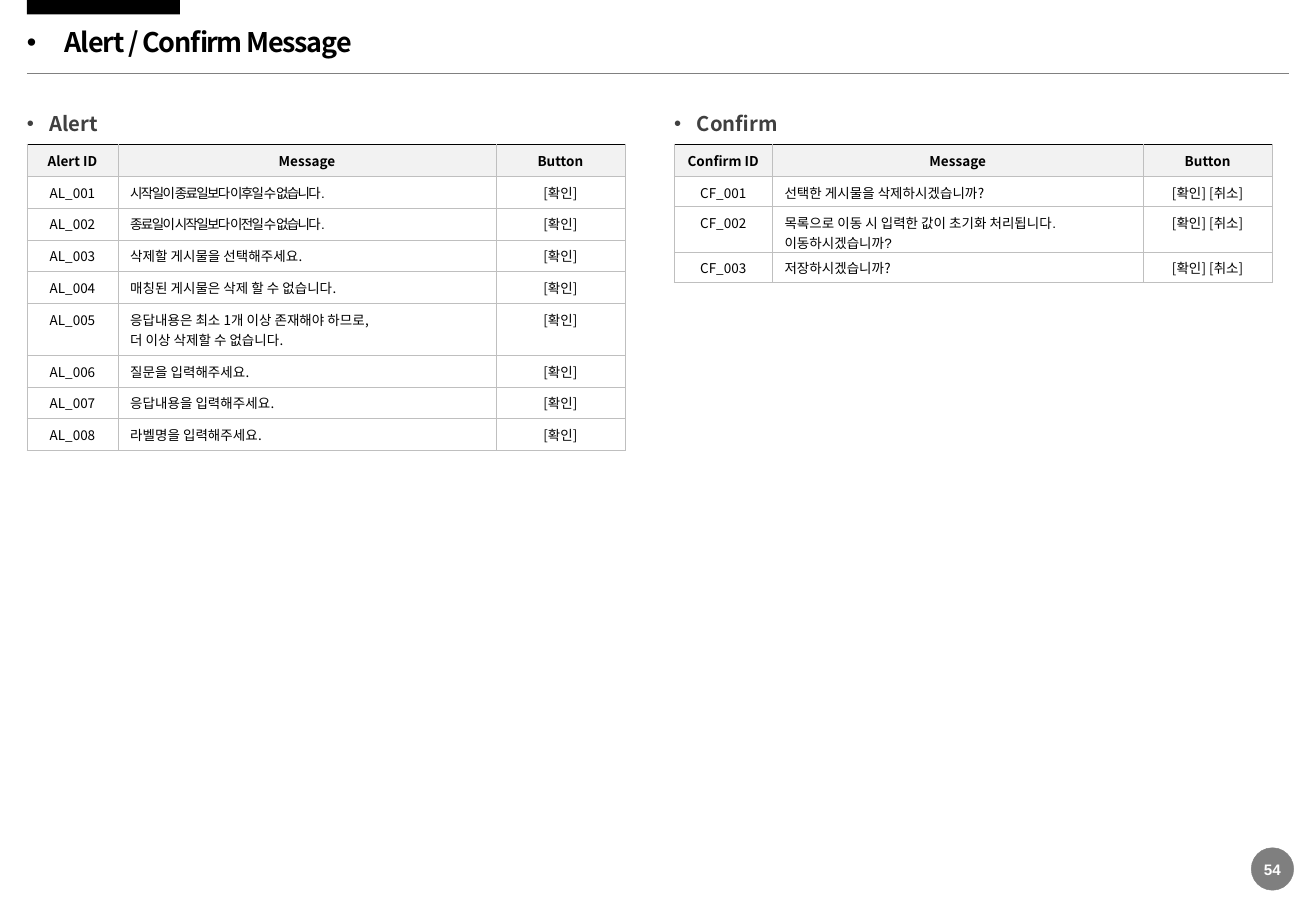
from dataclasses import dataclass

from lxml import etree
from pptx import Presentation
from pptx.dml.color import RGBColor
from pptx.enum.shapes import MSO_CONNECTOR, MSO_SHAPE
from pptx.enum.text import MSO_ANCHOR, MSO_AUTO_SIZE, PP_ALIGN
from pptx.oxml.ns import qn
from pptx.util import Pt

LEFT, CENTER = PP_ALIGN.LEFT, PP_ALIGN.CENTER
TOP, MIDDLE = MSO_ANCHOR.TOP, MSO_ANCHOR.MIDDLE
NO_AUTOFIT = MSO_AUTO_SIZE.NONE
RECTANGLE, OVAL = MSO_SHAPE.RECTANGLE, MSO_SHAPE.OVAL
STRAIGHT = MSO_CONNECTOR.STRAIGHT
TITLE_ONLY = 5


@dataclass(frozen=True)
class Theme:
    """Colours, fonts and type sizes of the page."""
    ink: str = "000000"
    heading: str = "404040"
    rule: str = "808080"
    grid: str = "BFBFBF"
    header: str = "F2F2F2"
    paper: str = "FFFFFF"
    font: str = "Noto Sans CJK KR"
    latin: str = "Arial"
    title_size: float = 16
    heading_size: float = 12
    number_size: float = 9
    cell_size: float = 8


def rgb(colour):
    """Turn a hex colour into an RGBColor."""
    return RGBColor.from_string(colour)


def child(parent, tag, **attributes):
    """Append a drawing element to its parent."""
    return etree.SubElement(parent, qn(tag), attributes)


def write(frame, text, *, size, colour, font, east_asian=None, bold=False,
          align=LEFT, spacing=0, indent=0, line_spacing=None):
    """Write formatted text into the first paragraph of a frame."""
    para = frame.paragraphs[0]
    para.alignment = align
    if line_spacing:
        para.line_spacing = line_spacing
    if indent:
        properties = para._p.get_or_add_pPr()
        properties.set("marL", str(Pt(indent)))
        properties.set("indent", str(-Pt(indent)))
        child(properties, "a:buFont", typeface="Arial")
        child(properties, "a:buChar", char="•")
    for index, line in enumerate(text.split("\n")):
        if index:
            para.add_line_break()
        span = para.add_run()
        span.text = line
        span.font.size = Pt(size)
        span.font.bold = bold
        span.font.color.rgb = rgb(colour)
        span.font.name = font
        properties = span._r.get_or_add_rPr()
        child(properties, "a:ea", typeface=east_asian or font)
        if spacing:
            properties.set("spc", str(round(spacing * 100)))


class Page:
    """The current slide and the style of its elements."""

    def __init__(self, deck, theme):
        """Add a title-only slide to the deck."""
        self.theme = theme
        self.slide = deck.slides.add_slide(deck.slide_layouts[TITLE_ONLY])
        self.shapes = self.slide.shapes

    def place(self, box, left, top, width, height):
        """Place a text shape and clear its insets."""
        box.left, box.top, box.width, box.height = map(Pt, (left, top, width, height))
        frame = box.text_frame
        frame.margin_left = frame.margin_right = 0
        frame.margin_top = frame.margin_bottom = 0
        frame.word_wrap = True
        frame.auto_size = NO_AUTOFIT
        frame.vertical_anchor = MIDDLE
        return frame

    def title(self, text, *bounds):
        """Fill the title placeholder."""
        frame = self.place(self.shapes.title, *bounds)
        write(frame, text, size=self.theme.title_size, colour=self.theme.ink,
              font=self.theme.font, bold=True, spacing=-0.7, indent=22.5,
              line_spacing=0.9)

    def text(self, text, *bounds, **style):
        """Add a text box."""
        frame = self.place(self.shapes.add_textbox(0, 0, 0, 0), *bounds)
        write(frame, text, bold=True, **style)

    def shape(self, kind, *bounds, alpha=None, line=None):
        """Add a filled shape."""
        shape = self.shapes.add_shape(kind, *map(Pt, bounds))
        shape.shadow.inherit = False
        shape.fill.solid()
        shape.fill.fore_color.rgb = rgb(self.theme.ink)
        if alpha:
            colour = shape._element.spPr.find(".//" + qn("a:srgbClr"))
            child(colour, "a:alpha", val=str(alpha * 1000))
        if line:
            shape.line.color.rgb = rgb(line)
            shape.line.width = Pt(0.25)
        else:
            shape.line.fill.background()

    def rule(self, left, right, level):
        """Add a thin horizontal line."""
        line = self.shapes.add_connector(STRAIGHT, Pt(left), Pt(level), Pt(right), Pt(level))
        line.line.color.rgb = rgb(self.theme.rule)
        line.line.width = Pt(0.25)
        child(line._element.spPr, "a:effectLst")

    def borders(self, cell, is_header):
        """Draw the four borders of a cell."""
        properties = cell._tc.get_or_add_tcPr()
        for position, side in enumerate(("a:lnL", "a:lnR", "a:lnT", "a:lnB")):
            strong = is_header and side == "a:lnT"
            line = etree.Element(qn(side), w=str(Pt(1 if strong else 0.5)))
            fill = child(line, "a:solidFill")
            child(fill, "a:srgbClr", val=self.theme.ink if strong else self.theme.grid)
            properties.insert(position, line)

    def table(self, left, top, widths, rows, bottom_margin, latin_rows, tight_rows):
        """Add a message table with a header row."""
        frame = self.shapes.add_table(len(rows), len(widths), Pt(left), Pt(top),
                                      Pt(sum(widths)), Pt(18 * len(rows)))
        table = frame.table
        table.first_row = table.horz_banding = False
        for column, width in zip(table.columns, widths):
            column.width = Pt(width)
        for row_index, row in enumerate(rows):
            is_header = row_index == 0
            table.rows[row_index].height = Pt(18)
            for column_index, text in enumerate(row):
                cell = table.cell(row_index, column_index)
                is_message = column_index == 1 and not is_header
                cell.vertical_anchor = TOP
                cell.margin_left = cell.margin_right = Pt(7.2)
                cell.margin_top = Pt(3.6)
                cell.margin_bottom = Pt(3.6 if is_header else bottom_margin)
                if is_header:
                    cell.fill.solid()
                    cell.fill.fore_color.rgb = rgb(self.theme.header)
                else:
                    cell.fill.background()
                self.borders(cell, is_header)
                write(cell.text_frame, text, size=self.theme.cell_size,
                      colour=self.theme.ink, bold=is_header, east_asian=self.theme.font,
                      font=self.theme.latin if is_message and row_index in latin_rows
                      else self.theme.font,
                      align=LEFT if is_message else CENTER,
                      spacing=-1 if is_message and row_index in tight_rows else 0)


ALERTS = ["시작일이 종료일보다 이후일 수 없습니다.", "종료일이 시작일보다 이전일 수 없습니다.",
          "삭제할 게시물을 선택해주세요.", "매칭된 게시물은 삭제 할 수 없습니다.",
          "응답내용은 최소 1개 이상 존재해야 하므로,\n더 이상 삭제할 수 없습니다.",
          "질문을 입력해주세요.", "응답내용을 입력해주세요.", "라벨명을 입력해주세요."]
CONFIRMS = ["선택한 게시물을 삭제하시겠습니까?",
            "목록으로 이동 시 입력한 값이 초기화 처리됩니다. 이동하시겠습니까?", "저장하시겠습니까?"]
SECTIONS = [
    ("Alert", "AL", 16, (54, 224, 76.4), ALERTS, "[확인]", 3.6, (1, 2), (1, 2)),
    ("Confirm", "CF", 399.6, (58.2, 219.8, 76.4), CONFIRMS, "[확인] [취소]", 0, (2,), ()),
]


def main():
    """Build the message list page."""
    theme = Theme()
    deck = Presentation()
    deck.slide_width, deck.slide_height = Pt(780), Pt(540)
    page = Page(deck, theme)
    page.shape(RECTANGLE, 16, 0, 90.7, 8.5)
    page.rule(16, 764, 43.4)
    page.shape(OVAL, 741.6, 502.5, 25.2, 25.2, alpha=50, line=theme.rule)
    page.title("Alert / Confirm Message", 16, 15, 468, 22.5)
    page.text("54", 746.2, 509.8, 16, 11, size=theme.number_size, colour=theme.paper,
              font=theme.latin, align=CENTER)
    for name, code, left, widths, messages, button, margin, latin, tight in SECTIONS:
        page.text(name, left, 66, 66, 14.5, size=theme.heading_size,
                  colour=theme.heading, font=theme.font, indent=13.5)
        rows = [(f"{name} ID", "Message", "Button")]
        rows += [(f"{code}_{number:03}", message, button)
                 for number, message in enumerate(messages, 1)]
        page.table(left, 85.6, widths, rows, margin, latin, tight)
    deck.save("out.pptx")


if __name__ == "__main__":
    main()
